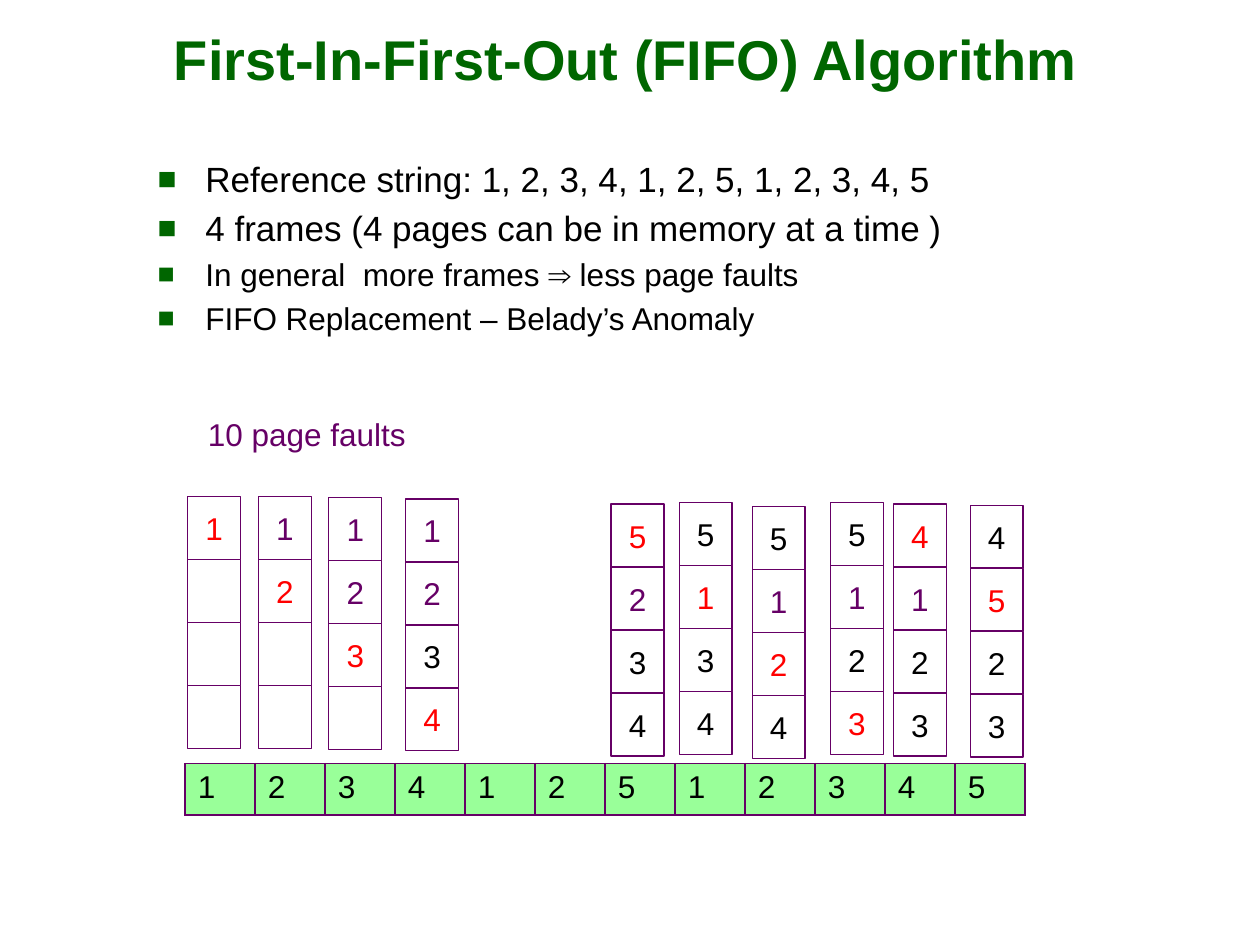
from lxml.etree import SubElement
from pptx import Presentation
from pptx.dml.color import RGBColor
from pptx.enum.shapes import MSO_SHAPE
from pptx.enum.text import MSO_ANCHOR, PP_ALIGN
from pptx.oxml.ns import qn
from pptx.util import Inches, Pt

GREEN, LIGHT_GREEN, PURPLE = "006600", "99FF99", "660066"
RED, BLACK, WHITE = "FF0000", "000000", "FFFFFF"
REFERENCES = [1, 2, 3, 4, 1, 2, 5, 1, 2, 3, 4, 5]
FRAME_COUNT = 4
FRAME_WIDTH, FRAME_HEIGHT = 0.42, 0.5
# Left and top of the stack of frames drawn for each page fault
STACK_CORNERS = [(1.49, 3.94), (2.05, 3.94), (2.61, 3.95), (3.22, 3.96), (4.85, 4),
                 (5.39, 3.99), (5.97, 4.02), (6.59, 3.99), (7.09, 4), (7.7, 4.01)]


def color(hex_string):
    """Turn a hex string into a colour."""
    return RGBColor.from_string(hex_string)


def format_paragraph(paragraph, size, hex_string, bold=False, alignment=PP_ALIGN.LEFT):
    """Set alignment of a paragraph and the font of its runs."""
    paragraph.alignment = alignment
    for run in paragraph.runs:
        run.font.name = "Arial"
        run.font.size = Pt(size)
        run.font.bold = bold
        run.font.color.rgb = color(hex_string)


def place(shape, left, top, width, height):
    """Move a shape to a box given in inches."""
    shape.left, shape.top = Inches(left), Inches(top)
    shape.width, shape.height = Inches(width), Inches(height)


def add_square_bullet(paragraph):
    """Give a paragraph a green square bullet and a hanging indent."""
    properties = paragraph._p.get_or_add_pPr()
    properties.set("marL", str(Inches(0.38)))
    properties.set("indent", str(-Inches(0.38)))
    bullet_color = SubElement(properties, qn("a:buClr"))
    SubElement(bullet_color, qn("a:srgbClr"), val=GREEN)
    SubElement(properties, qn("a:buSzPct"), val="90000")
    SubElement(properties, qn("a:buFont"), typeface="Arial")
    SubElement(properties, qn("a:buChar"), char="■")


def fill_title(title, box):
    """Place and write the slide title."""
    place(title, *box)
    title.text_frame.text = "First-In-First-Out (FIFO) Algorithm"
    title.text_frame.vertical_anchor = MSO_ANCHOR.MIDDLE
    format_paragraph(title.text_frame.paragraphs[0], 32, GREEN, bold=True)


def fill_body(body, box):
    """Place and write the bullet list."""
    items = [("Reference string: " + ", ".join(map(str, REFERENCES)), 0, 20),
             ("4 frames (4 pages can be in memory at a time )", 0, 20),
             ("In general  more frames ⇒ less page faults", 1, 18),
             ("FIFO Replacement – Belady’s Anomaly", 1, 18)]
    place(body, *box)
    text_frame = body.text_frame
    text_frame.text = "\n".join(text for text, level, size in items)
    for paragraph, (text, level, size) in zip(text_frame.paragraphs, items):
        paragraph.level = level
        format_paragraph(paragraph, size, BLACK)
        add_square_bullet(paragraph)


def add_fault_label(slide, box):
    """Add the number of page faults."""
    label = slide.shapes.add_textbox(*map(Inches, box))
    label.text_frame.word_wrap = True
    label.text_frame.vertical_anchor = MSO_ANCHOR.MIDDLE
    label.text_frame.text = f"{len(STACK_CORNERS)} page faults"
    format_paragraph(label.text_frame.paragraphs[0], 18, PURPLE, alignment=PP_ALIGN.CENTER)


def fifo_faults():
    """Return the frames and the loaded slot after each page fault."""
    frames, faults = [None] * FRAME_COUNT, []
    for page in REFERENCES:
        if page not in frames:
            slot = len(faults) % FRAME_COUNT
            frames[slot] = page
            faults.append((list(frames), slot))
    return faults


def page_color(page, row, loaded_row):
    """Choose red for the loaded page, purple for early pages in the upper rows."""
    if row == loaded_row:
        return RED
    return PURPLE if row < 2 and page < 3 else BLACK


def add_frame_stack(slide, left, top, frames, loaded_row):
    """Draw one grouped column of memory frames."""
    group = slide.shapes.add_group_shape()
    for row, page in enumerate(frames):
        frame = group.shapes.add_shape(
            MSO_SHAPE.RECTANGLE, Inches(left), Inches(top + row * FRAME_HEIGHT),
            Inches(FRAME_WIDTH), Inches(FRAME_HEIGHT))
        frame.shadow.inherit = False
        frame.fill.solid()
        frame.fill.fore_color.rgb = color(WHITE)
        frame.line.color.rgb = color(PURPLE)
        frame.line.width = Pt(0.75)
        if page is not None:
            frame.text_frame.word_wrap = False
            frame.text_frame.vertical_anchor = MSO_ANCHOR.MIDDLE
            frame.text_frame.text = str(page)
            format_paragraph(frame.text_frame.paragraphs[0], 18,
                             page_color(page, row, loaded_row), alignment=PP_ALIGN.CENTER)


def set_cell_borders(cell):
    """Draw a thin purple line on all sides of a cell."""
    properties = cell._tc.get_or_add_tcPr()
    for index, side in enumerate(("a:lnL", "a:lnR", "a:lnT", "a:lnB")):
        line = SubElement(properties, qn(side), w=str(Pt(1)))
        fill = SubElement(line, qn("a:solidFill"))
        SubElement(fill, qn("a:srgbClr"), val=PURPLE)
        properties.insert(index, line)


def add_reference_table(slide, box):
    """Add the row of page references."""
    table = slide.shapes.add_table(1, len(REFERENCES), *map(Inches, box)).table
    for cell, page in zip(table.iter_cells(), REFERENCES):
        cell.fill.solid()
        cell.fill.fore_color.rgb = color(LIGHT_GREEN)
        cell.text_frame.text = str(page)
        format_paragraph(cell.text_frame.paragraphs[0], 18, BLACK)
        set_cell_borders(cell)


def build_slide(presentation):
    """Build the FIFO slide."""
    slide = presentation.slides.add_slide(presentation.slide_layouts[1])
    fill_title(slide.shapes.title, (1.28, 0, 8.5, 0.92))
    fill_body(slide.placeholders[1], (1.15, 1.2, 8.51, 6.08))
    add_fault_label(slide, (1.54, 3.24, 1.79, 0.4))
    add_reference_table(slide, (1.47, 6.06, 6.67, 0.41))
    for (left, top), (frames, loaded_row) in zip(STACK_CORNERS, fifo_faults()):
        add_frame_stack(slide, left, top, frames, loaded_row)


presentation = Presentation()
presentation.slide_width, presentation.slide_height = Inches(10), Inches(7.5)
build_slide(presentation)
presentation.save("out.pptx")
